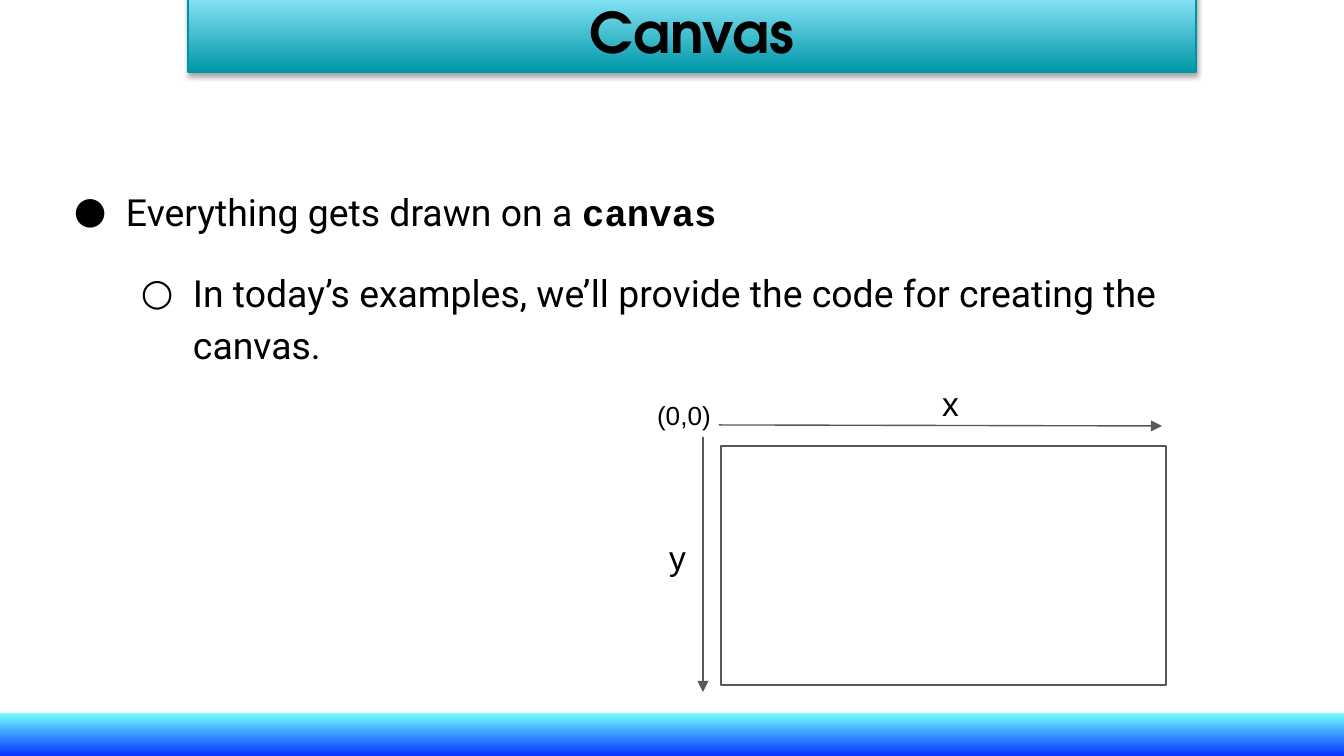
from dataclasses import dataclass

import pptx
import pptx.dml.color
import pptx.enum.shapes
import pptx.enum.text
import pptx.oxml
import pptx.oxml.ns
import pptx.util
from lxml import etree

EMU_PER_PX = 914400 / 134.4
COLORS = {
    "text": "000000",
    "line": "585858",
    "band_bottom": "0433FF",
    "band_top": "73FDFF",
    "banner_bottom": "0097A7",
    "banner_top": "94EBFE",
    "banner_line": "0094A3",
}
qn = pptx.oxml.ns.qn
Pt = pptx.util.Pt


@dataclass
class Box:
    x: int
    y: int
    w: int
    h: int


@dataclass
class Label:
    text: str
    box: Box
    size: int


@dataclass
class Arrow:
    x1: int
    y1: int
    x2: int
    y2: int


@dataclass
class Bullet:
    char: str
    runs: list[tuple[str, str, bool]]
    indent: int
    before: int


def px(n: int) -> int:
    return round(n * EMU_PER_PX)


def rgb(name: str) -> pptx.dml.color.RGBColor:
    return pptx.dml.color.RGBColor.from_string(COLORS[name])


def place(sp, box: Box) -> None:
    sp.left, sp.top, sp.width, sp.height = map(px, (box.x, box.y, box.w, box.h))


def set_frame(tf, inset: int = 13, anchor: str = "TOP") -> None:
    tf.word_wrap = True
    tf.auto_size = pptx.enum.text.MSO_AUTO_SIZE.NONE
    tf.vertical_anchor = pptx.enum.text.MSO_ANCHOR[anchor]
    tf.margin_left = tf.margin_right = tf.margin_top = tf.margin_bottom = px(inset)


def add_text(p, text: str, *, size: int, font: str = "Arial", bold: bool = False) -> None:
    r = p.add_run()
    r.text = text
    r.font.size, r.font.name, r.font.bold = Pt(size), font, bold
    r.font.color.rgb = rgb("text")


def add_rect(s, box: Box, *, gradient: tuple[str, str] | None = None, line: str | None = None):
    sp = s.shapes.add_shape(pptx.enum.shapes.MSO_SHAPE.RECTANGLE, 0, 0, 0, 0)
    place(sp, box)
    sp.shadow.inherit = False
    if gradient:
        sp.fill.gradient()
        sp.fill.gradient_angle = 90
        for stop, name in zip(sp.fill.gradient_stops, gradient):
            stop.color.rgb = rgb(name)
    else:
        sp.fill.background()
    if line:
        sp.line.color.rgb, sp.line.width = rgb(line), Pt(0.75)
    else:
        sp.line.fill.background()
    return sp


def add_shadow(sp) -> None:
    effects = sp._element.spPr.find(qn("a:effectLst"))
    shadow = etree.SubElement(effects, qn("a:outerShdw"), blurRad=str(Pt(3)),
                              dist=str(Pt(1.8)), dir="5400000", rotWithShape="0")
    color = etree.SubElement(shadow, qn("a:srgbClr"), val=COLORS["text"])
    etree.SubElement(color, qn("a:alpha"), val="35000")


def add_arrow(s, a: Arrow) -> None:
    c = s.shapes.add_connector(pptx.enum.shapes.MSO_CONNECTOR.STRAIGHT,
                               px(a.x1), px(a.y1), px(a.x2), px(a.y2))
    c.line.color.rgb, c.line.width = rgb("line"), Pt(0.75)
    etree.SubElement(c.line._get_or_add_ln(), qn("a:tailEnd"), type="triangle")
    etree.SubElement(c._element.spPr, qn("a:effectLst"))


def add_label(s, label: Label) -> None:
    sp = s.shapes.add_textbox(0, 0, 0, 0)
    place(sp, label.box)
    set_frame(sp.text_frame)
    add_text(sp.text_frame.paragraphs[0], label.text, size=label.size)


def add_bullet(p, level: int, b: Bullet) -> None:
    p.level = level
    p.line_spacing = 1.15
    p.space_before, p.space_after = Pt(b.before), Pt(0)
    pPr = p._p.get_or_add_pPr()
    pPr.set("marL", str(px(b.indent)))
    pPr.set("indent", str(px(-52)))
    color = etree.SubElement(pPr, qn("a:buClr"))
    etree.SubElement(color, qn("a:srgbClr"), val=COLORS["text"])
    etree.SubElement(pPr, qn("a:buFont"), typeface="Roboto")
    etree.SubElement(pPr, qn("a:buChar"), char=b.char)
    for text, font, bold in b.runs:
        add_text(p, text, size=20, font=font, bold=bold)


BULLETS = [
    Bullet("●", [("Everything gets drawn on a ", "Roboto", False),
                 ("canvas", "Courier New", True)], 67, 0),
    Bullet("○", [("In today’s examples, we’ll provide the code for creating the canvas.",
                  "Roboto", False)], 134, 16),
]
AXES = [Arrow(719, 425, 1162, 426), Arrow(703, 437, 703, 692)]
LABELS = [
    Label("x", Box(929, 370, 83, 64), 18),
    Label("y", Box(656, 524, 83, 64), 18),
    Label("(0,0)", Box(644, 386, 141, 56), 14),
]


def main() -> None:
    prs = pptx.Presentation()
    prs.slide_width, prs.slide_height = px(1344), px(756)
    s = prs.slides.add_slide(prs.slide_layouts[1])
    title, body = s.shapes.title, s.placeholders[1]

    # Footer band
    add_rect(s, Box(0, 713, 1344, 43), gradient=("band_bottom", "band_top"))

    # Bulleted text
    place(body, Box(46, 169, 1252, 503))
    tf = body.text_frame
    set_frame(tf)
    for level, bullet in enumerate(BULLETS):
        p = tf.add_paragraph() if level else tf.paragraphs[0]
        add_bullet(p, level, bullet)

    # Canvas diagram
    add_rect(s, Box(721, 446, 445, 239), line="line")
    for axis in AXES:
        add_arrow(s, axis)
    for label in LABELS:
        add_label(s, label)

    # Title in front of its banner
    banner = add_rect(s, Box(188, -10, 1008, 82),
                      gradient=("banner_bottom", "banner_top"), line="banner_line")
    add_shadow(banner)
    place(title, Box(193, -10, 998, 82))
    set_frame(title.text_frame, inset=5, anchor="MIDDLE")
    p = title.text_frame.paragraphs[0]
    p.alignment = pptx.enum.text.PP_ALIGN.CENTER
    add_text(p, "Canvas", size=30, font="TeX Gyre Adventor", bold=True)
    banner._element.addnext(title._element)

    prs.save("out.pptx")


if __name__ == "__main__":
    main()
